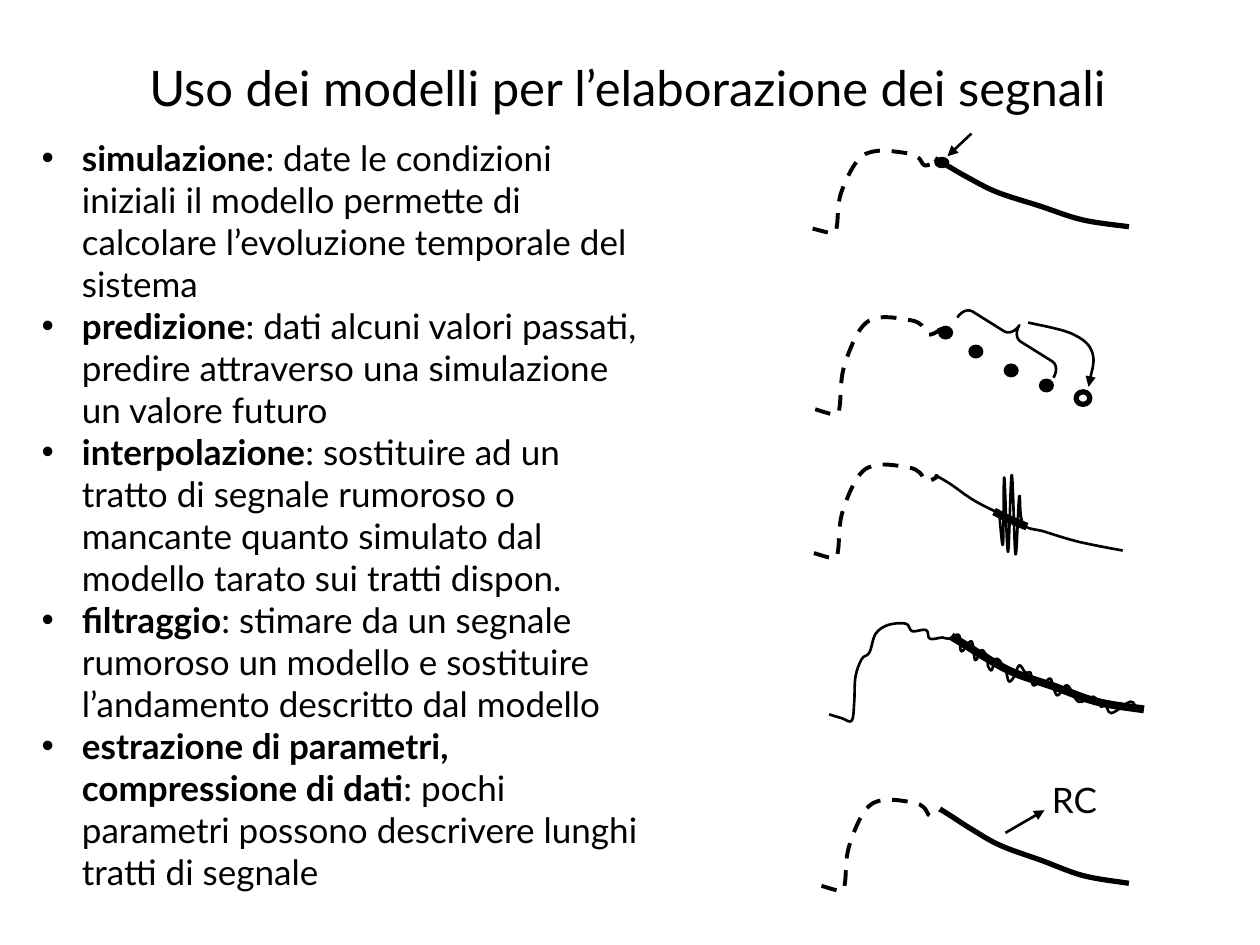
"""Slide on the use of models in signal processing, with five sketched signals."""
from lxml.etree import Element, SubElement
from pptx import Presentation
from pptx.dml.color import RGBColor
from pptx.enum.dml import MSO_LINE
from pptx.enum.shapes import MSO_CONNECTOR, MSO_SHAPE
from pptx.enum.text import MSO_ANCHOR, MSO_AUTO_SIZE, PP_ALIGN
from pptx.oxml.ns import qn
from pptx.util import Pt

PX = 9144
FONT = "Lato"
BLACK = RGBColor.from_string("000000")

prs = Presentation()
prs.slide_width, prs.slide_height = 1000 * PX, 750 * PX
s = prs.slides.add_slide(prs.slide_layouts[1])


def stroke(sp, width, dash=False, arrow=False):
    sp.line.color.rgb = BLACK
    sp.line.width = Pt(width)
    if dash:
        sp.line.dash_style = MSO_LINE.DASH
    if arrow:
        SubElement(sp.line._get_or_add_ln(), qn("a:tailEnd"), type="triangle")
    SubElement(sp._element.spPr, qn("a:effectLst"))


def curve(points, width, box=None, dash=False, arrow=False):
    """Draw a smooth open curve through the points, stretched to the box if given."""
    if box:
        x, y, w, h = box
        xmax, ymax = (max(c) for c in zip(*points))
        points = [(x + a * w / xmax, y + b * h / ymax) for a, b in points]
    points = [(a * PX, b * PX) for a, b in points]
    fb = s.shapes.build_freeform(*points[0])
    fb.add_line_segments(points[1:], close=False)
    sp = fb.convert_to_shape()
    sp.fill.background()
    pts = [(int(e.get("x")), int(e.get("y"))) for e in sp._element.iter(qn("a:pt"))]
    pts = [pts[0], *pts, pts[-1]]
    for i, seg in enumerate(list(sp._element.iter(qn("a:lnTo")))):
        p0, p1, p2, p3 = pts[i:i + 4]
        c1 = [b + (c - a) / 6 for a, b, c in zip(p0, p1, p2)]
        c2 = [b - (c - a) / 6 for a, b, c in zip(p1, p2, p3)]
        seg.tag = qn("a:cubicBezTo")
        for k, (cx, cy) in enumerate((c1, c2)):
            seg.insert(k, Element(qn("a:pt"), x=str(round(cx)), y=str(round(cy))))
    stroke(sp, width, dash, arrow)


title, body = s.placeholders
title.text_frame.text = "Uso dei modelli per l’elaborazione dei segnali"
items = [
    ("simulazione", ": date le condizioni iniziali il modello permette di calcolare "
     "l’evoluzione temporale del sistema"),
    ("predizione", ": dati alcuni valori passati, predire attraverso una simulazione "
     "un valore futuro"),
    ("interpolazione", ": sostituire ad un tratto di segnale rumoroso o mancante "
     "quanto simulato dal modello tarato sui tratti dispon."),
    ("filtraggio", ": stimare da un segnale rumoroso un modello e sostituire "
     "l’andamento descritto dal modello"),
    ("estrazione di parametri, compressione di dati",
     ": pochi parametri possono descrivere lunghi tratti di segnale"),
]
tf = body.text_frame
for i, (term, text) in enumerate(items):
    p = tf.add_paragraph() if i else tf.paragraphs[0]
    p.space_before = Pt(0)
    pPr = p._p.get_or_add_pPr()
    pPr.set("marL", str(32 * PX))
    pPr.set("indent", str(-32 * PX))
    for part, bold in ((term, True), (text, False)):
        r = p.add_run()
        r.text = part
        r.font.bold = bold

label = s.shapes.add_textbox(0, 0, PX, PX)
label.text_frame.text = "RC"
for sp, box, size, align in (
    (title, (89, 41, 818, 104), 28, PP_ALIGN.CENTER),
    (body, (23, 103, 502, 649), 20, PP_ALIGN.LEFT),
    (label, (825, 613, 57, 44), 20, PP_ALIGN.LEFT),
):
    sp.left, sp.top, sp.width, sp.height = (v * PX for v in box)
    tf = sp.text_frame
    tf.word_wrap = sp is not label
    tf.auto_size = MSO_AUTO_SIZE.NONE
    tf.vertical_anchor = MSO_ANCHOR.TOP
    for p in tf.paragraphs:
        p.alignment = align
        for r in p.runs:
            r.font.name, r.font.size = FONT, Pt(size)
            r.font.color.rgb = BLACK

onset = [(0, 71), (16, 75), (19, 69), (22, 40), (35, 10), (50, 1), (74, 3),
         (83, 7), (88, 14), (96, 11), (96, 9)]
for box in ((645, 119, 97, 66), (647, 251, 98, 78), (646, 368, 97, 75), (652, 634, 94, 73)):
    curve(onset, 2.25, box, dash=True)

decay = [(0, 0), (11, 7), (25, 16), (48, 29), (81, 41), (114, 53), (150, 59)]
for box, width in (((742, 126, 154, 54), 3), ((755, 505, 153, 58), 4.5),
                   ((746, 642, 150, 59), 3)):
    curve(decay, width, box)

for x, y, h, filled in ((742, 125, 8, True), (745, 259, 10, True), (769, 274, 10, True),
                        (797, 289, 10, True), (825, 301, 10, True), (854, 311, 10, False)):
    dot = s.shapes.add_shape(MSO_SHAPE.OVAL, x * PX, y * PX, 11 * PX, h * PX)
    if filled:
        dot.fill.solid()
        dot.fill.fore_color.rgb = BLACK
    else:
        dot.fill.background()
    stroke(dot, 0.75 if filled else 3)

for ends in ((771, 106, 752, 124), (798, 661, 829, 643)):
    arrow = s.shapes.add_connector(MSO_CONNECTOR.STRAIGHT, *(v * PX for v in ends))
    stroke(arrow, 1.5, arrow=True)

curve([(816, 256), (851, 265), (867, 280), (864, 307)], 1.5, arrow=True)
brace = s.shapes.add_shape(MSO_SHAPE.RIGHT_BRACE, 793 * PX, 222 * PX, 21 * PX, 90 * PX)
brace.rotation = 302
brace.adjustments[0] = 0.36
brace.fill.background()
stroke(brace, 1.5)

burst = [(742, 377), (754, 384), (768, 394), (778, 400), (792, 407), (793, 408),
         (796, 432), (797, 379), (800, 438), (803, 377), (806, 440), (809, 394),
         (812, 416), (829, 422), (852, 429), (870, 433), (891, 437)]
curve(burst, 1.5)
curve([(789, 406), (801, 412), (815, 418)], 4.5)

noisy = [(658, 567), (668, 570), (676, 572), (678, 557), (679, 537), (684, 523),
         (690, 518), (695, 503), (705, 496), (719, 495), (724, 501), (735, 500),
         (738, 507), (748, 506), (753, 507), (761, 504), (763, 517), (771, 509),
         (774, 524), (779, 516), (783, 520), (784, 520), (784, 523), (784, 528),
         (787, 532), (790, 523), (794, 525), (796, 530), (798, 529), (799, 535),
         (801, 541), (805, 537), (809, 528), (814, 534), (818, 534), (820, 544),
         (827, 540), (830, 541), (834, 539), (839, 552), (847, 544), (856, 557),
         (868, 553), (874, 561), (877, 558), (882, 566), (897, 557), (902, 562),
         (906, 564)]
curve(noisy, 1.5)

prs.save("out.pptx")
